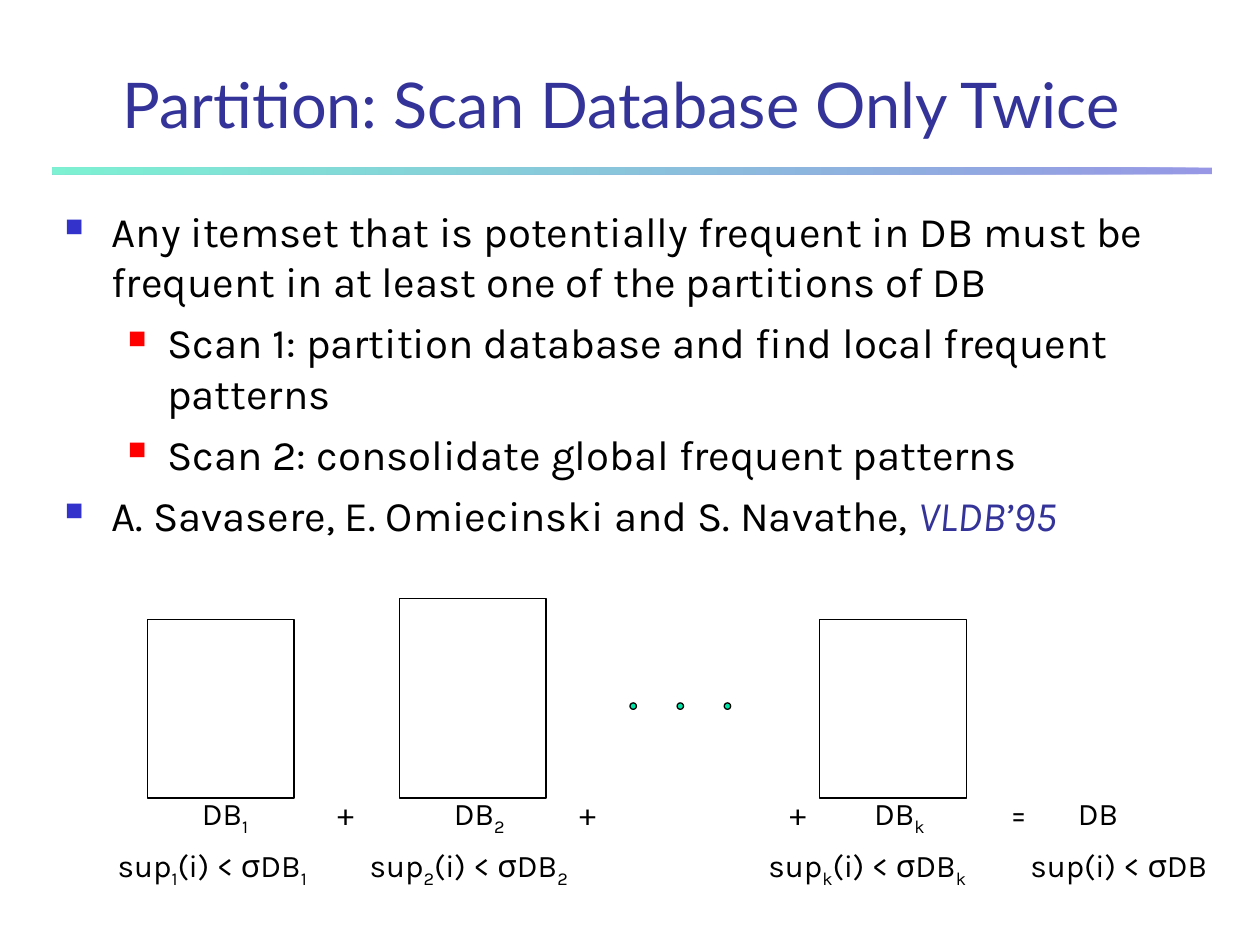
from dataclasses import dataclass

from lxml import etree
from pptx import Presentation
from pptx.dml.color import RGBColor
from pptx.enum.shapes import MSO_SHAPE
from pptx.enum.text import MSO_ANCHOR, MSO_AUTO_SIZE, PP_ALIGN
from pptx.oxml.ns import qn
from pptx.util import Cm, Pt

RECT, OVAL = MSO_SHAPE.RECTANGLE, MSO_SHAPE.OVAL
BOTTOM, CENTER = MSO_ANCHOR.BOTTOM, PP_ALIGN.CENTER
NO_FIT = MSO_AUTO_SIZE.NONE
TITLE_ONLY = 5


@dataclass(frozen=True)
class Theme:
    ink: RGBColor = RGBColor(0, 0, 0)
    title: RGBColor = RGBColor(0x33, 0x33, 0x99)
    blue: RGBColor = RGBColor(0x33, 0x33, 0xCC)
    red: RGBColor = RGBColor(0xFF, 0, 0)
    green: RGBColor = RGBColor(0, 0xE4, 0xA8)
    heading_font: str = "Lato"
    body_font: str = "Karla"
    title_size: Pt = Pt(36)
    body_size: Pt = Pt(24)
    label_size: Pt = Pt(18)
    line: Pt = Pt(0.75)


T = Theme()


def add_run(p, text, size, color=T.ink, font=T.body_font, italic=None, sub=False):
    r = p.add_run()
    r.text = text
    r.font.name, r.font.size = font, size
    r.font.color.rgb = color
    r.font.italic = italic
    if sub:
        r._r.get_or_add_rPr().set("baseline", "-25000")


def add_text(s, x, y, w, h):
    tf = s.shapes.add_textbox(Cm(x), Cm(y), Cm(w), Cm(h)).text_frame
    tf.word_wrap = True
    return tf


def add_shape(s, kind, x, y, w, h, fill=None):
    sp = s.shapes.add_shape(kind, Cm(x), Cm(y), Cm(w), Cm(h))
    sp.shadow.inherit = False
    if fill is None:
        sp.fill.background()
    else:
        sp.fill.solid()
        sp.fill.fore_color.rgb = fill
    sp.line.color.rgb = T.ink
    sp.line.width = T.line
    return sp


def set_bullet(p, color, left, hanging):
    pPr = p._p.get_or_add_pPr()
    pPr.set("marL", str(Cm(left)))
    pPr.set("indent", str(-Cm(hanging)))
    clr = etree.SubElement(pPr, qn("a:buClr"))
    etree.SubElement(clr, qn("a:srgbClr")).set("val", str(color))
    etree.SubElement(pPr, qn("a:buSzPct")).set("val", "60000")
    etree.SubElement(pPr, qn("a:buChar")).set("char", "■")


def add_title(s, text, x, y, w, h):
    sp = s.shapes.title
    sp.left, sp.top, sp.width, sp.height = Cm(x), Cm(y), Cm(w), Cm(h)
    tf = sp.text_frame
    tf.auto_size, tf.vertical_anchor = NO_FIT, BOTTOM
    p = tf.paragraphs[0]
    p.alignment = CENTER
    add_run(p, text, T.title_size, T.title, T.heading_font)


def add_gradient_rule(s, x, y, w, h):
    sp = add_shape(s, RECT, x, y, w, h)
    sp.line.fill.background()
    sp.fill.gradient()
    sp.fill.gradient_angle = 180
    for stop, color in zip(sp.fill.gradient_stops, (T.blue, T.green)):
        stop.color.rgb = color
    for clr in sp._element.spPr.iter(qn("a:srgbClr")):
        etree.SubElement(clr, qn("a:alpha")).set("val", "51000")


def add_bullets(s, items, x, y, w, h):
    """Items are (level, text, italic ending)."""
    styles = ((T.blue, 0.94, 0.94), (T.red, 2.06, 0.79))
    tf = add_text(s, x, y, w, h)
    for i, (level, text, ending) in enumerate(items):
        p = tf.add_paragraph() if i else tf.paragraphs[0]
        p.level = level
        p.space_before = Pt(6)
        set_bullet(p, *styles[level])
        add_run(p, text, T.body_size)
        if ending:
            add_run(p, ending, T.body_size, T.title, italic=True)


def add_label(s, x, y, w, *parts):
    """Every second part is a subscript."""
    p = add_text(s, x, y, w, 1.1).paragraphs[0]
    for i, part in enumerate(parts):
        add_run(p, part, T.label_size, sub=i % 2 == 1)
    return p


def add_partitions(s, x, y):
    box_w, base = 2.96, 4.02
    name_y, support_y = y + 3.81, y + 4.87
    # subscript, left edge, height, left edge of the support formula
    partitions = (("1", 0.85, 3.6, 0), ("2", 5.93, 4.02, 5.08), ("k", 14.4, 3.6, 13.12))
    for sub, left, height, support_x in partitions:
        add_shape(s, RECT, x + left, y + base - height, box_w, height)
        add_label(s, x + left + 0.85, name_y, 1.7, "DB", sub)
        add_label(s, x + support_x, support_y, 4.66, "sup", sub, "(i) < σDB", sub)

    for i in range(3):
        add_shape(s, OVAL, x + 10.58 + 0.95 * i, y + 2.1, 0.13, 0.13, T.green)
    for left in (4.43, 9.31, 13.55):
        add_label(s, x + left, name_y, 0.64, "+")

    total = add_label(s, x + 18, name_y, 3.81, "=\tDB")
    tabs = etree.SubElement(total._p.get_or_add_pPr(), qn("a:tabLst"))
    tab = etree.SubElement(tabs, qn("a:tab"))
    tab.set("pos", str(Cm(1.36)))
    tab.set("algn", "l")
    add_label(s, x + 18.4, support_y, 4.66, "sup(i) < σDB")


def main():
    prs = Presentation()
    prs.slide_width, prs.slide_height = Cm(25.4), Cm(19.05)
    s = prs.slides.add_slide(prs.slide_layouts[TITLE_ONLY])
    add_gradient_rule(s, 1.06, 3.38, 23.37, 0.13)
    add_title(s, "Partition: Scan Database Only Twice", 1.7, 1.27, 21.64, 1.7)
    add_bullets(s, (
        (0, "Any itemset that is potentially frequent in DB must be "
            "frequent in at least one of the partitions of DB", ""),
        (1, "Scan 1: partition database and find local frequent patterns", ""),
        (1, "Scan 2: consolidate global frequent patterns", ""),
        (0, "A. Savasere, E. Omiecinski and S. Navathe, ", "VLDB’95"),
    ), 1.06, 4.02, 23.5, 7.62)
    add_partitions(s, 2.12, 12.07)
    prs.save("out.pptx")


if __name__ == "__main__":
    main()
